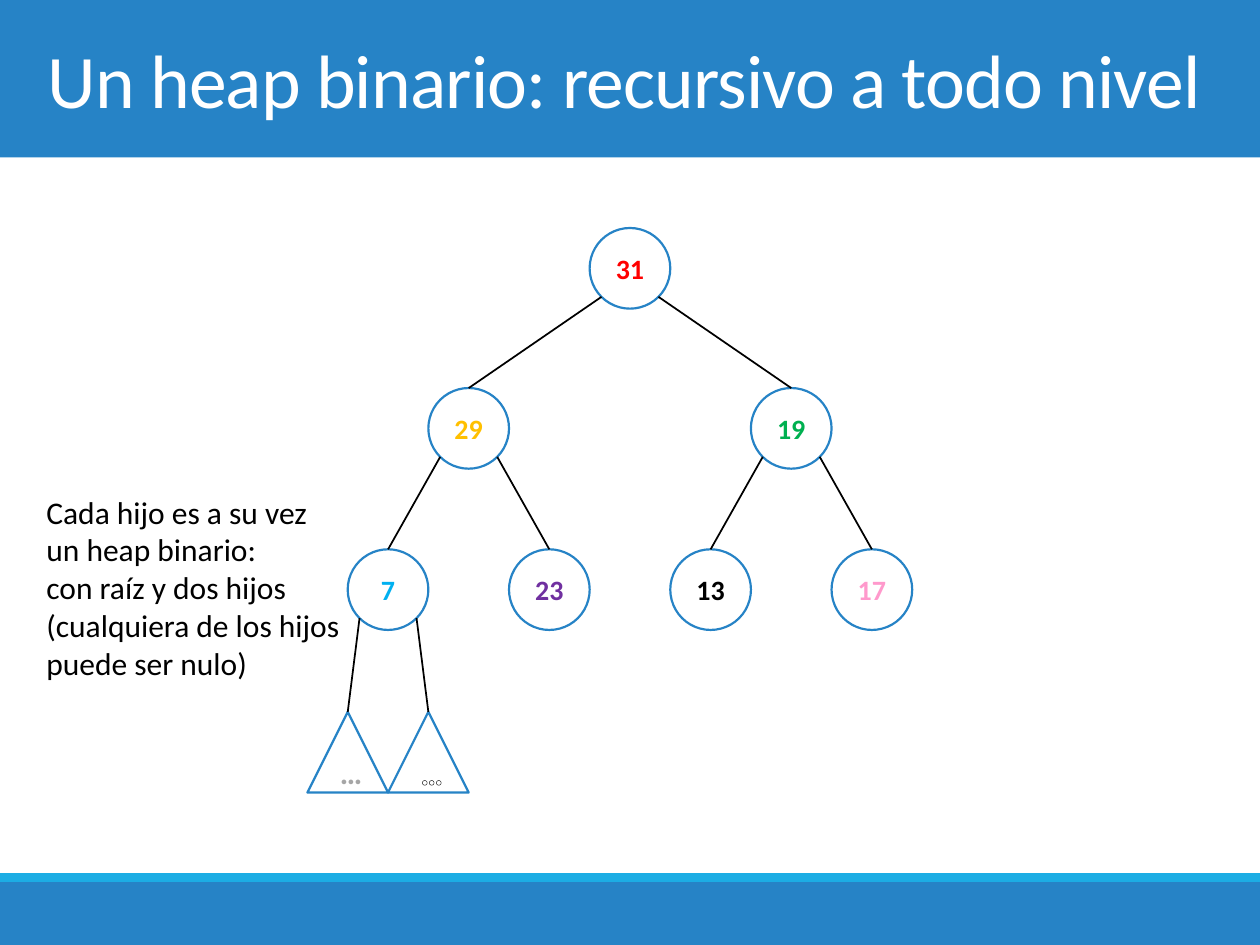
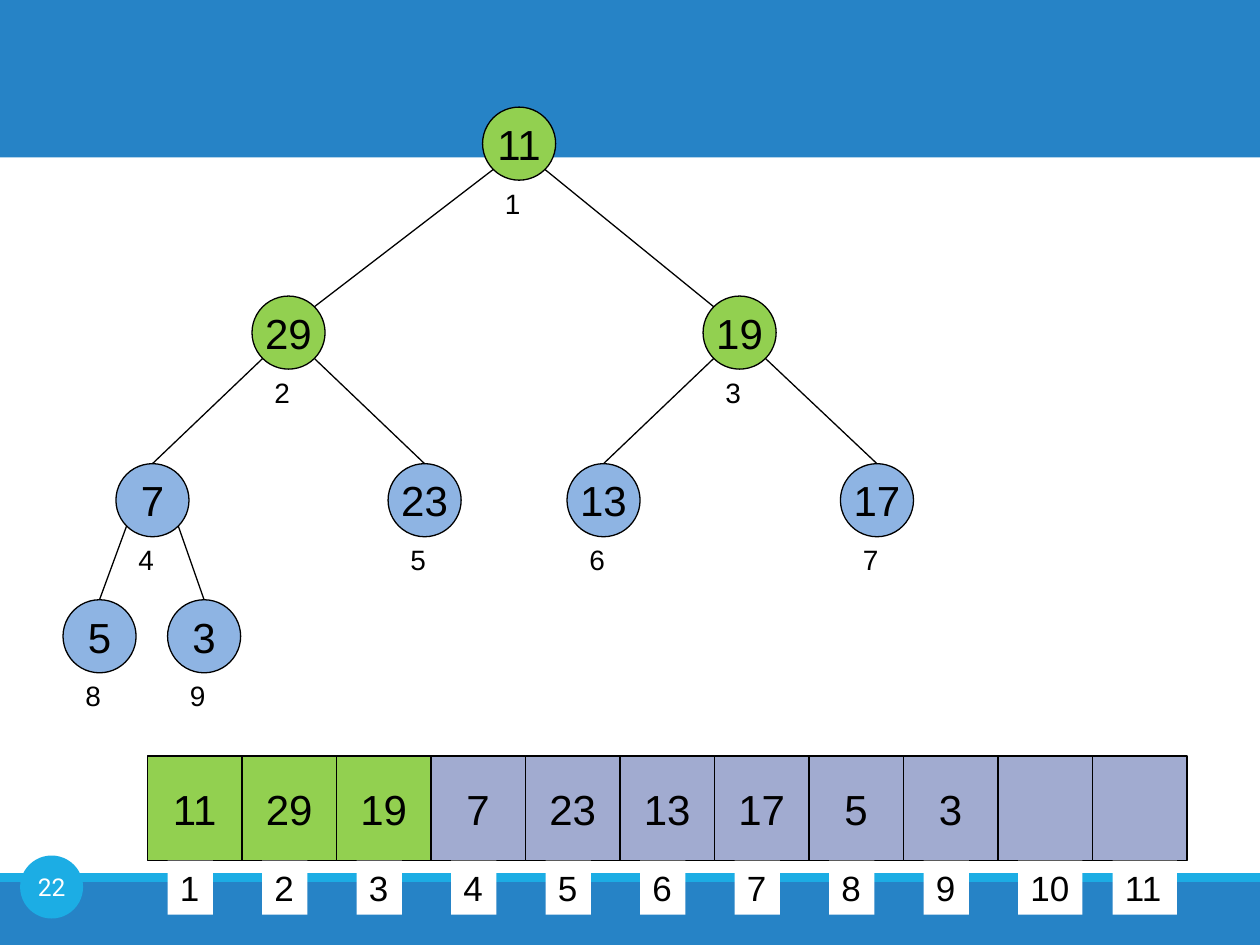
from dataclasses import dataclass

from lxml import etree
from pptx import Presentation
from pptx.dml.color import RGBColor
from pptx.enum.shapes import MSO_CONNECTOR as Connector, MSO_SHAPE as Shape
from pptx.enum.text import MSO_ANCHOR as Anchor, MSO_AUTO_SIZE as AutoSize, PP_ALIGN as Align
from pptx.oxml import parse_xml
from pptx.oxml.ns import nsdecls, qn
from pptx.util import Inches, Pt

BLUE = RGBColor(0x26, 0x83, 0xC6)
CYAN = RGBColor(0x1C, 0xAD, 0xE4)
WHITE = RGBColor(0xFF, 0xFF, 0xFF)
BLACK = RGBColor(0x00, 0x00, 0x00)
RED = RGBColor(0xFF, 0x00, 0x00)
AMBER = RGBColor(0xFF, 0xC0, 0x00)
GREEN = RGBColor(0x00, 0xB0, 0x50)
SKY = RGBColor(0x00, 0xB0, 0xF0)
PURPLE = RGBColor(0x70, 0x30, 0xA0)
PINK = RGBColor(0xFF, 0x99, 0xCC)
GREY = RGBColor(0xA6, 0xA6, 0xA6)
LIME = RGBColor(0x92, 0xD0, 0x50)
PALE_BLUE = RGBColor(0x8E, 0xB4, 0xE3)
LAVENDER = RGBColor(0xA1, 0xAB, 0xD0)

DIAGONAL = 0.5 ** 0.5


@dataclass
class Font:
    """Typeface, size and weight of a kind of text."""
    name: str
    size: float
    bold: bool = False


@dataclass
class TreeStyle:
    """Look of the nodes and edges of one heap drawing."""
    font: Font
    size: float
    outline: RGBColor
    outline_width: float
    edge_width: float
    wrap: bool


@dataclass
class Node:
    """One heap node, placed by its centre and its top."""
    text: str
    center: float
    top: float
    fill: RGBColor
    color: RGBColor
    shape: Shape = Shape.OVAL


TITLE_FONT = Font("Calibri", 43.2)
NOTE_FONT = Font("Calibri", 18)
ELLIPSIS_FONT = Font("Calibri", 18, True)
NODE_FONT = Font("Calibri", 16, True)
VALUE_FONT = Font("Arial", 24)
POSITION_FONT = Font("Arial", 16)
INDEX_FONT = Font("Arial", 20)
NUMBER_FONT = Font("Roboto", 14)

RECURSIVE_STYLE = TreeStyle(NODE_FONT, 0.64, BLUE, 1.25, 1, True)
ARRAY_STYLE = TreeStyle(VALUE_FONT, 0.58, BLACK, 0.75, 0.75, False)


def format_text(text_frame, font, color, align=None):
    """Give every paragraph and run of a text frame the same look."""
    for paragraph in text_frame.paragraphs:
        paragraph.alignment = align
        for run in paragraph.runs:
            run.font.name = font.name
            run.font.size = Pt(font.size)
            run.font.bold = font.bold
            run.font.color.rgb = color


def add_figure(slide, kind, left, top, width, height, fill, outline=None, outline_width=0.75):
    """Add a flat preset shape with an optional outline."""
    shape = slide.shapes.add_shape(kind, Inches(left), Inches(top), Inches(width), Inches(height))
    shape.shadow.inherit = False
    shape.fill.solid()
    shape.fill.fore_color.rgb = fill
    if outline is None:
        shape.line.fill.background()
    else:
        shape.line.color.rgb = outline
        shape.line.width = Pt(outline_width)
    return shape


def set_label(shape, text, font, color, wrap=False):
    """Write centred text inside a shape."""
    text_frame = shape.text_frame
    text_frame.text = text
    text_frame.word_wrap = wrap
    text_frame.vertical_anchor = Anchor.MIDDLE
    format_text(text_frame, font, color, Align.CENTER)


def add_text(slide, text, left, top, width, height, font, color=BLACK):
    """Add a text box that hugs its unwrapped text."""
    box = slide.shapes.add_textbox(Inches(left), Inches(top), Inches(width), Inches(height))
    text_frame = box.text_frame
    text_frame.text = text
    text_frame.word_wrap = False
    text_frame.auto_size = AutoSize.SHAPE_TO_FIT_TEXT
    format_text(text_frame, font, color)
    return box


def add_title(slide, text):
    """Add the slide title over the top band."""
    box = add_text(slide, text, 0.28, 0, 9.45, 1.25, TITLE_FONT, WHITE)
    text_frame = box.text_frame
    text_frame.word_wrap = True
    text_frame.auto_size = AutoSize.NONE
    text_frame.vertical_anchor = Anchor.MIDDLE
    text_frame.paragraphs[0].runs[0].font._element.set("spc", "-50")


def add_slide(presentation):
    """Add a blank slide with the shared bands."""
    slide = presentation.slides.add_slide(presentation.slide_layouts[6])
    for top, height, fill in ((0, 1.25, BLUE), (7, 0.5, BLUE), (6.93, 0.07, CYAN)):
        add_figure(slide, Shape.RECTANGLE, 0, top, 10, height, fill)
    return slide


def add_edge(slide, start, end, width):
    """Add a straight black line between two points."""
    points = [Inches(value) for value in (*start, *end)]
    line = slide.shapes.add_connector(Connector.STRAIGHT, *points)
    line.line.color.rgb = BLACK
    line.line.width = Pt(width)
    etree.SubElement(line._element.spPr, qn("a:effectLst"))


def outline_text(shape):
    """Draw a thin black outline around the letters of a shape."""
    outline = parse_xml(
        f'<a:ln {nsdecls("a")} w="9525"><a:solidFill><a:srgbClr val="000000"/></a:solidFill></a:ln>'
    )
    shape.text_frame.paragraphs[0].runs[0].font._element.insert(0, outline)


def add_tree(slide, nodes, style, diagonal_ends=()):
    """Draw nodes in heap order, each joined to its parent, and return their shapes."""
    radius = style.size / 2
    reach = radius * DIAGONAL
    shapes = []
    for node in nodes:
        shape = add_figure(slide, node.shape, node.center - radius, node.top, style.size,
                           style.size, node.fill, style.outline, style.outline_width)
        font = style.font if node.shape == Shape.OVAL else ELLIPSIS_FONT
        set_label(shape, node.text, font, node.color, style.wrap)
        shapes.append(shape)
    for index, child in enumerate(nodes[1:], 1):
        parent = nodes[(index - 1) // 2]
        side = -1 if index % 2 else 1
        start = (parent.center + side * reach, parent.top + radius + reach)
        end = (child.center, child.top)
        if index in diagonal_ends:
            end = (child.center - side * reach, child.top + radius - reach)
        add_edge(slide, start, end, style.edge_width)
    return shapes


def add_array(slide, values, length, highlighted):
    """Draw the array cells with their one-based indexes below."""
    left, top, width, height = 1.17, 6, 0.75, 0.83
    for index in range(length):
        fill = LIME if index < highlighted else LAVENDER
        cell = add_figure(slide, Shape.RECTANGLE, left + index * width, top, width, height,
                          fill, BLACK)
        if index < len(values):
            set_label(cell, values[index], VALUE_FONT, BLACK)
    for index in range(length):
        text = str(index + 1)
        box = add_text(slide, text, left + 0.16 + index * width, top + height,
                       0.21 + 0.15 * len(text), 0.43, INDEX_FONT)
        box.fill.solid()
        box.fill.fore_color.rgb = WHITE


def add_slide_number(slide, number):
    """Add the round slide number badge."""
    badge = add_figure(slide, Shape.OVAL, 0.16, 6.79, 0.5, 0.5, CYAN)
    set_label(badge, number, NUMBER_FONT, WHITE)
    text_frame = badge.text_frame
    text_frame.margin_left = text_frame.margin_right = 0
    text_frame.margin_top = text_frame.margin_bottom = 0


def build_recursive_heap(presentation):
    """Build the slide on the recursive structure of a heap."""
    slide = add_slide(presentation)
    add_title(slide, "Un heap binario: recursivo a todo nivel")
    labels = (
        ("31", RED), ("29", AMBER), ("19", GREEN), ("7", SKY), ("23", PURPLE),
        ("13", BLACK), ("17", PINK), ("…", GREY), ("…", WHITE),
    )
    tops = (1.81, 3.08, 4.36, 5.65)
    spreads = (0, 1.28, 0.64, 0.32)
    nodes = []
    for index, (text, color) in enumerate(labels):
        level = (index + 1).bit_length() - 1
        side = -1 if index % 2 else 1
        center = nodes[(index - 1) // 2].center + side * spreads[level] if index else 5
        shape = Shape.ISOSCELES_TRIANGLE if text == "…" else Shape.OVAL
        nodes.append(Node(text, center, tops[level], WHITE, color, shape))
    shapes = add_tree(slide, nodes, RECURSIVE_STYLE)
    outline_text(shapes[-1])
    note = "\n".join((
        "Cada hijo es a su vez",
        "un heap binario:",
        "con raíz y dos hijos",
        "(cualquiera de los hijos",
        "puede ser nulo)",
    ))
    add_text(slide, note, 0.27, 3.86, 2.56, 1.62, NOTE_FONT)


def build_array_heap(presentation):
    """Build the slide that pairs a heap with its array."""
    slide = add_slide(presentation)
    values = ("11", "29", "19", "7", "23", "13", "17", "5", "3")
    centers = (4.12, 2.29, 5.87, 1.21, 3.37, 4.79, 6.96, 0.79, 1.62)
    tops = (0.85, 2.35, 3.68, 4.76)
    highlighted = 3
    nodes = []
    for index, (value, center) in enumerate(zip(values, centers)):
        level = (index + 1).bit_length() - 1
        fill = LIME if index < highlighted else PALE_BLUE
        nodes.append(Node(value, center, tops[level], fill, BLACK))
    add_tree(slide, nodes, ARRAY_STYLE, diagonal_ends=(1, 2))
    for position, node in enumerate(nodes, 1):
        add_text(slide, str(position), node.center - 0.21, node.top + ARRAY_STYLE.size,
                 0.33, 0.37, POSITION_FONT)
    add_slide_number(slide, "22")
    add_array(slide, values, 11, highlighted)


def main():
    """Build and save the presentation."""
    presentation = Presentation()
    presentation.slide_width = Inches(10)
    presentation.slide_height = Inches(7.5)
    build_recursive_heap(presentation)
    build_array_heap(presentation)
    presentation.save("out.pptx")


if __name__ == "__main__":
    main()
